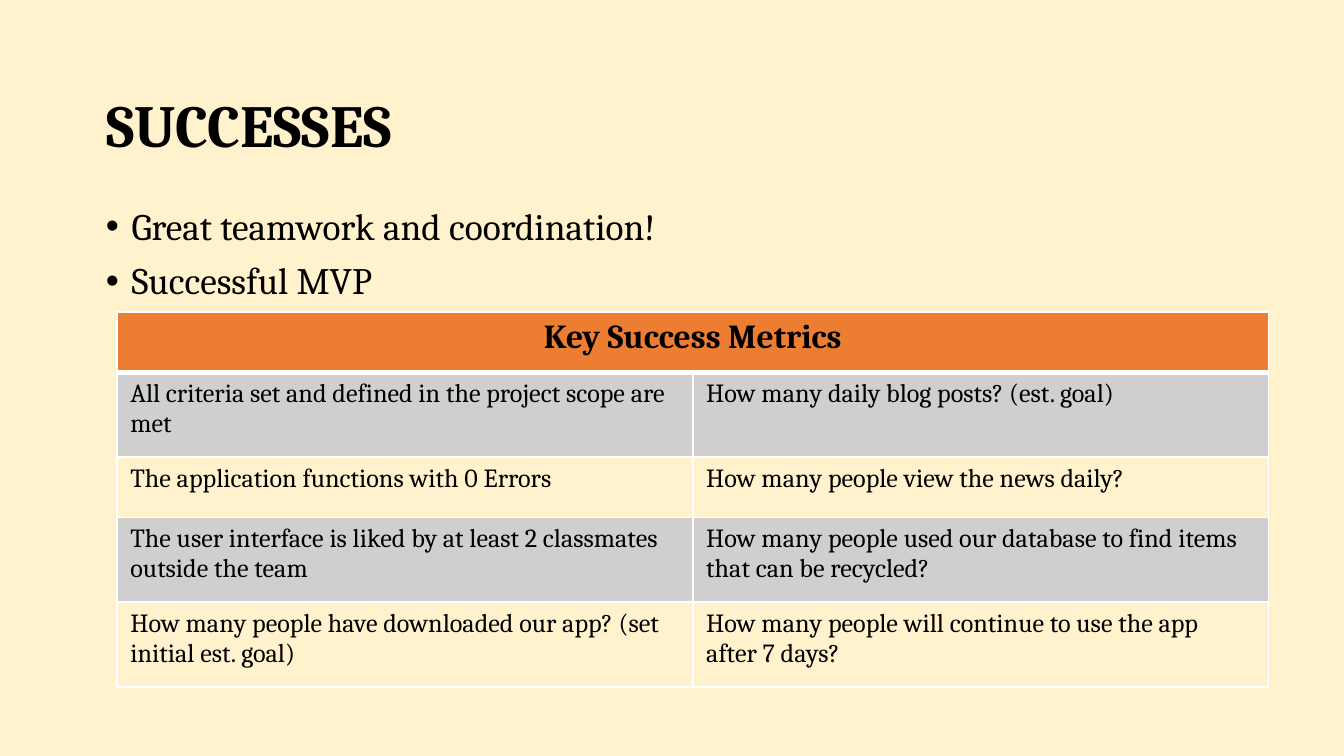
from lxml import etree
from pptx import Presentation
from pptx.dml.color import RGBColor
from pptx.enum import text
from pptx.oxml import ns
from pptx.util import Inches, Pt

FONT = "Cambria"
BLACK, WHITE, CREAM, ORANGE, GREY = "000000", "FFFFFF", "FFF2CC", "ED7D31", "D0CECE"
NO_STYLE = "{2D5ABB26-0587-4C30-8999-92F81FD0307C}"

TITLE = "SUCCESSES"
BULLETS = ["Great teamwork and coordination!", "Successful MVP"]
HEADING = "Key Success Metrics"
METRICS = [
    ("All criteria set and defined in the project scope are met",
     "How many daily blog posts? (est. goal)"),
    ("The application functions with 0 Errors",
     "How many people view the news daily?"),
    ("The user interface is liked by at least 2 classmates outside the team",
     "How many people used our database to find items that can be recycled?"),
    ("How many people have downloaded our app? (set initial est. goal)",
     "How many people will continue to use the app after 7 days?"),
]
ROW_HEIGHTS = [0.45, 0.63, 0.45, 0.63, 0.63]


def color(value):
    return RGBColor.from_string(value)


def place(shape, left, top, width, height):
    shape.left, shape.top = Inches(left), Inches(top)
    shape.width, shape.height = Inches(width), Inches(height)


def write(para, words, size, bold=False, align=text.PP_ALIGN.LEFT, spacing=None, before=0):
    para.alignment = align
    para.line_spacing = spacing
    para.space_before = Pt(before)
    span = para.add_run()
    span.text = words
    span.font.name, span.font.size, span.font.bold = FONT, Pt(size), bold
    span.font.color.rgb = color(BLACK)


def add_bullet(para, indent):
    props = para._p.get_or_add_pPr()
    props.set("marL", str(Inches(indent)))
    props.set("indent", str(-Inches(indent)))
    etree.SubElement(props, ns.qn("a:buFont")).set("typeface", "Arial")
    etree.SubElement(props, ns.qn("a:buChar")).set("char", "•")


def add_borders(cell, top=1, bottom=1):
    props = cell._tc.get_or_add_tcPr()
    for side, width in (("L", 1), ("R", 1), ("T", top), ("B", bottom)):
        line = etree.SubElement(props, ns.qn(f"a:ln{side}"), w=str(Pt(width)))
        fill = etree.SubElement(line, ns.qn("a:solidFill"))
        etree.SubElement(fill, ns.qn("a:srgbClr"), val=WHITE)


def paint(cell, fill):
    if fill:
        cell.fill.solid()
        cell.fill.fore_color.rgb = color(fill)
    else:
        cell.fill.background()


deck = Presentation()
deck.slide_width = Inches(10)
deck.slide_height = deck.slide_width * 9 // 16
page = deck.slides.add_slide(deck.slide_layouts[5])
page.background.fill.solid()
page.background.fill.fore_color.rgb = color(CREAM)

title = page.shapes.title
place(title, 0.69, 0.49, 9.32, 0.92)
frame = title.text_frame
frame.word_wrap = True
frame.auto_size = text.MSO_AUTO_SIZE.NONE
frame.vertical_anchor = text.MSO_ANCHOR.MIDDLE
frame.margin_left = frame.margin_right = frame.margin_top = frame.margin_bottom = Inches(0.1)
write(frame.paragraphs[0], TITLE, 32, bold=True, spacing=0.9)

box = page.shapes.add_textbox(Inches(0.69), Inches(1.5), Inches(8.75), Inches(0.82))
box.text_frame.word_wrap = True
for index, words in enumerate(BULLETS):
    para = box.text_frame.add_paragraph() if index else box.text_frame.paragraphs[0]
    write(para, words, 20, spacing=0.9, before=7.5)
    add_bullet(para, 0.19)

table = page.shapes.add_table(len(ROW_HEIGHTS), 2, Inches(0.87), Inches(2.32),
                              Inches(8.57), Inches(sum(ROW_HEIGHTS))).table
table.horz_banding = False
table._tbl.tblPr.find(ns.qn("a:tableStyleId")).text = NO_STYLE
for row, height in zip(table.rows, ROW_HEIGHTS):
    row.height = Inches(height)

heading = table.cell(0, 0)
heading.merge(table.cell(0, 1))
write(heading.text_frame.paragraphs[0], HEADING, 18, bold=True, align=text.PP_ALIGN.CENTER)
for column in range(2):
    add_borders(table.cell(0, column), bottom=3)
    paint(table.cell(0, column), ORANGE)

for row, metrics in enumerate(METRICS, start=1):
    for column, words in enumerate(metrics):
        cell = table.cell(row, column)
        write(cell.text_frame.paragraphs[0], words, 14)
        add_borders(cell, top=3 if row == 1 else 1)
        paint(cell, GREY if row % 2 else None)

deck.save("out.pptx")
